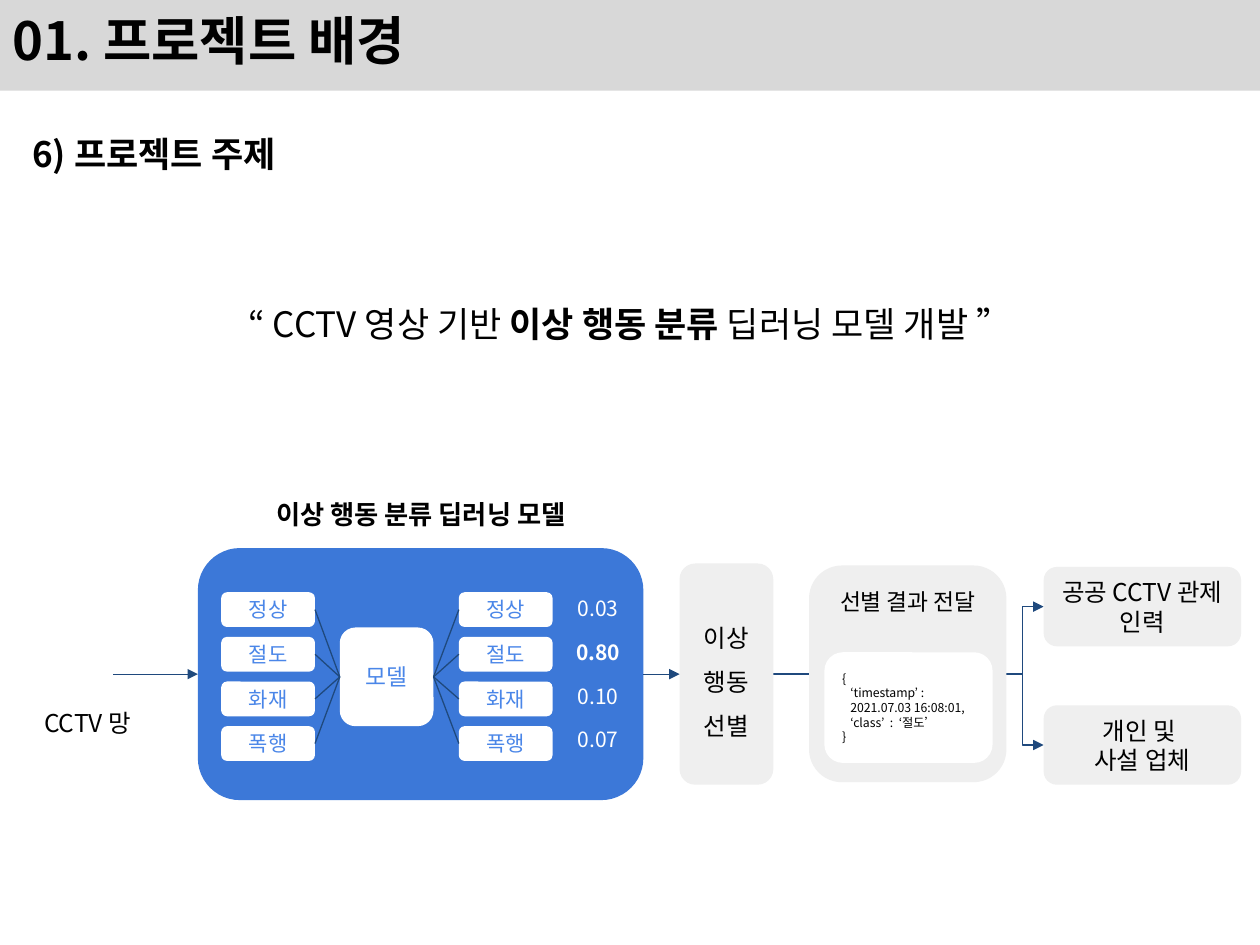
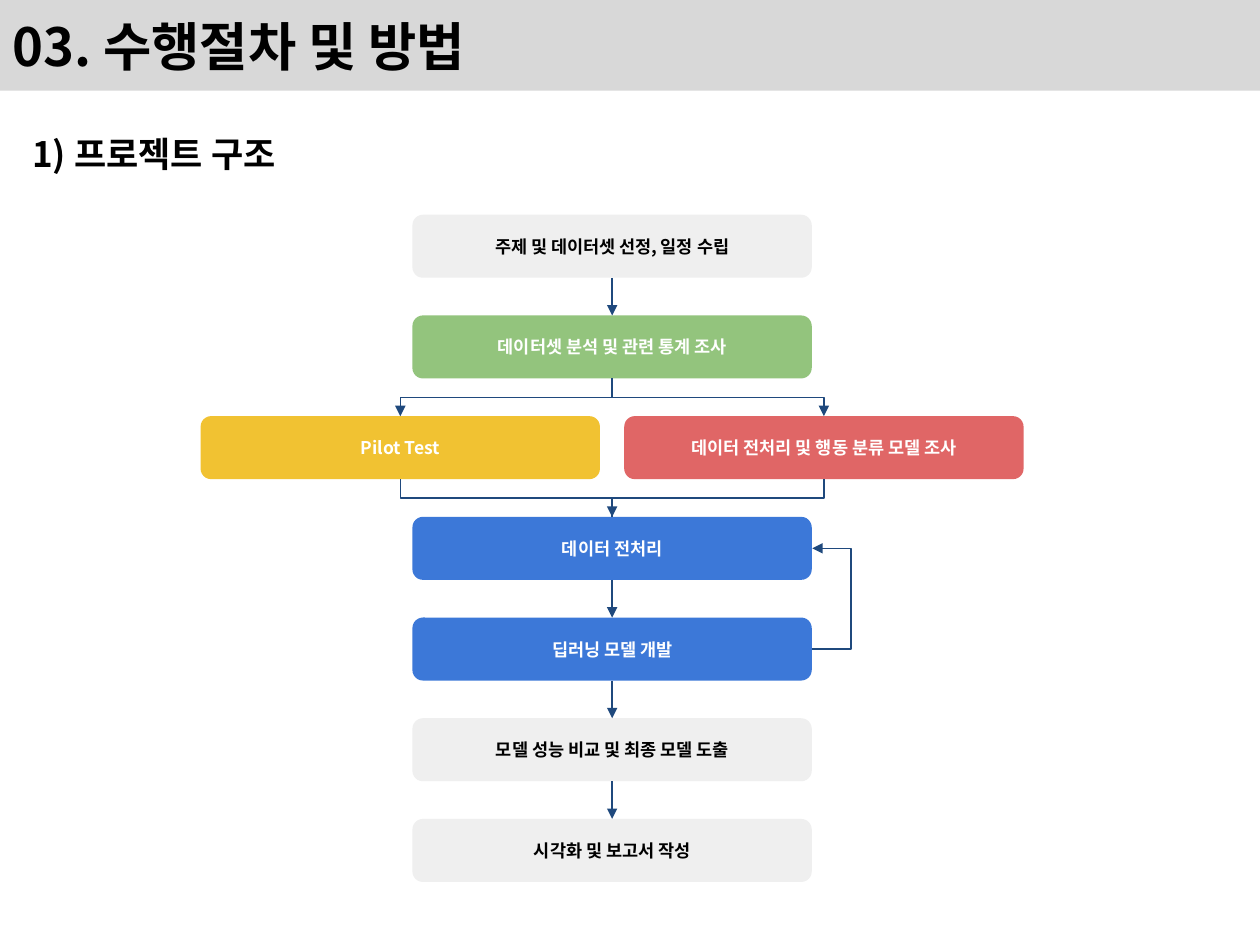
from lxml import etree
from pptx import Presentation
from pptx import util as u
from pptx.dml.color import RGBColor
from pptx.enum import shapes, text
from pptx.oxml import ns

FONT = "Noto Sans CJK KR"
COLORS = {
    "black": "000000", "white": "FFFFFF", "band": "D8D8D8", "gray": "EFEFEF",
    "blue": "3C78D8", "label": "4A86E8", "green": "93C47D", "yellow": "F1C232",
    "red": "E06666", "line": "1F497D",
}
CENTER = text.PP_ALIGN.CENTER
MIDDLE = text.MSO_ANCHOR.MIDDLE

TITLES = {"background": ("01. 프로젝트 배경", 0.8), "method": ("03. 수행절차 및 방법", 1.0)}
TOPIC = ["6) 프로젝트 주제"]
QUOTE = [("“ CCTV 영상 기반 ", False), ("이상 행동 분류", True), (" 딥러닝 모델 개발 ”", False)]
STRUCTURE = ["1) 프로젝트 구조"]
CLASSES = [("정상", "0.03"), ("절도", "0.80"), ("화재", "0.10"), ("폭행", "0.07")]
BEST_SCORE = "0.80"
MESSAGE = ["{", "   ‘timestamp’ :", "   2021.07.03 16:08:01,", "   ‘class’  :  ‘절도’", "}"]
RECEIVERS = [(11.43, ["공공 CCTV 관제 인력"]), (14.22, ["개인 및 ", "사설 업체"])]
STAGES = {
    "plan": (0, 0, "주제 및 데이터셋 선정, 일정 수립", "gray", "black"),
    "analysis": (1, 0, "데이터셋 분석 및 관련 통계 조사", "green", "white"),
    "pilot": (2, -1, "Pilot Test", "yellow", "white"),
    "survey": (2, 1, "데이터 전처리 및 행동 분류 모델 조사", "red", "white"),
    "preprocess": (3, 0, "데이터 전처리", "blue", "white"),
    "develop": (4, 0, "딥러닝 모델 개발", "blue", "white"),
    "compare": (5, 0, "모델 성능 비교 및 최종 모델 도출", "gray", "black"),
    "report": (6, 0, "시각화 및 보고서 작성", "gray", "black"),
}
STRAIGHT_STEPS = [("plan", "analysis"), ("preprocess", "develop"),
                  ("develop", "compare"), ("compare", "report")]
BENT_STEPS = [("analysis", "pilot", True), ("analysis", "survey", True),
              ("pilot", "preprocess", False), ("survey", "preprocess", True)]


def color(name):
    return RGBColor.from_string(COLORS[name])


def apply(target, values):
    for name, value in values.items():
        setattr(target, name, value)


def write(shape, paragraphs, size, ink="black", bold=False, anchor=text.MSO_ANCHOR.TOP,
          inset=0.25, **layout):
    frame = shape.text_frame
    apply(frame, {
        "word_wrap": True, "vertical_anchor": anchor,
        "margin_left": u.Cm(0.25), "margin_right": u.Cm(0.25),
        "margin_top": u.Cm(inset), "margin_bottom": u.Cm(inset),
    })
    for index, content in enumerate(paragraphs):
        paragraph = frame.add_paragraph() if index else frame.paragraphs[0]
        apply(paragraph, layout)
        pieces = [(content, bold)] if isinstance(content, str) else content
        for words, heavy in pieces:
            run = paragraph.add_run()
            run.text = words
            apply(run.font, {"name": FONT, "size": u.Pt(size), "bold": heavy})
            run.font.color.rgb = color(ink)
            etree.SubElement(run.font._element, ns.qn("a:ea"), typeface=FONT)


def add_text(slide, area, paragraphs, size, **style):
    box = slide.shapes.add_textbox(*map(u.Cm, area))
    write(box, paragraphs, size, **style)
    return box


def add_box(slide, area, fill, paragraphs=(), size=12, kind="ROUNDED_RECTANGLE", **style):
    box = slide.shapes.add_shape(shapes.MSO_SHAPE[kind], *map(u.Cm, area))
    box.shadow.inherit = False
    box.fill.solid()
    box.fill.fore_color.rgb = color(fill)
    box.line.fill.background()
    write(box, paragraphs, size, **{"anchor": MIDDLE, "alignment": CENTER, **style})
    return box


def add_line(slide, start, end, arrow=True, kind="STRAIGHT", bend=None, turned=False):
    connector = slide.shapes.add_connector(
        shapes.MSO_CONNECTOR[kind], *(u.Cm(value) for value in (*start, *end)))
    connector.line.color.rgb = color("line")
    connector.line.width = u.Pt(0.75)
    properties = connector.element.spPr
    if arrow:
        etree.SubElement(properties.find(ns.qn("a:ln")), ns.qn("a:tailEnd"), type="triangle")
    if bend is not None:
        guides = properties.find(ns.qn("a:prstGeom")).find(ns.qn("a:avLst"))
        etree.SubElement(guides, ns.qn("a:gd"), name="adj1", fmla=f"val {round(bend * 100000)}")
    if turned:
        properties.find(ns.qn("a:xfrm")).set("rot", "5400000")
    etree.SubElement(properties, ns.qn("a:effectLst"))
    return connector


def join(slide, source, source_side, target, target_side, arrow=True):
    connector = add_line(slide, (0, 0), (1, 1), arrow)
    connector.begin_connect(source, source_side)
    connector.end_connect(target, target_side)


def add_downward_elbow(slide, start, end, arrow):
    across, down = end[0] - start[0], end[1] - start[1]
    x, y = (start[0] + end[0]) / 2, (start[1] + end[1]) / 2
    add_line(slide, (x - down / 2, y + across / 2), (x + down / 2, y - across / 2),
             arrow, "ELBOW", 0.5, turned=True)


def start_slide(presentation, key, heading):
    slide = presentation.slides.add_slide(presentation.slide_layouts[6])
    title, spacing = TITLES[key]
    add_box(slide, (0, 0, 25.4, 1.83), "band", [title], 30, kind="RECTANGLE", bold=True,
            inset=0.13, alignment=text.PP_ALIGN.LEFT, line_spacing=spacing)
    body = add_text(slide, (0.4, 2.29, 24.6, 4.8), heading, 20, bold=True, inset=0.13,
                    line_spacing=1.3)
    return slide, body


def build_background(presentation):
    slide, body = start_slide(presentation, "background", TOPIC + [QUOTE])
    apply(body.text_frame.paragraphs[1], {"alignment": CENTER, "space_before": u.Pt(66)})

    axis, filter_right, turn = 13.59, 15.59, 20.62
    receiver_left, receiver_width, receiver_height = 21.04, 3.98, 1.6
    for top, name in RECEIVERS:
        add_line(slide, (filter_right, axis), (receiver_left, top + receiver_height / 2),
                 kind="ELBOW", bend=(turn - filter_right) / (receiver_left - filter_right))
        add_box(slide, (receiver_left, top, receiver_width, receiver_height), "gray", name, 14)

    add_text(slide, (4.32, 9.8, 8.33, 1.14), ["이상 행동 분류 딥러닝 모델"], 15,
             bold=True, alignment=CENTER)
    add_text(slide, (0.28, 14.02, 2.97, 1.12), ["CCTV 망"], 14, alignment=CENTER)
    panel = add_box(slide, (3.99, 11.05, 8.98, 5.08), "blue")
    add_line(slide, (2.28, axis), (3.99, axis)).end_connect(panel, 1)

    model = add_box(slide, (6.85, 12.65, 1.89, 1.99), "white", ["모델"], 13, ink="label")
    for row, (name, score) in enumerate(CLASSES):
        before, after = (
            add_box(slide, (left, 11.94 + 0.9 * row, 1.89, 0.7), "white", [name], ink="label")
            for left in (4.46, 9.25))
        join(slide, before, 3, model, 1, arrow=False)
        join(slide, model, 3, after, 1, arrow=False)
        add_text(slide, (11.22, 11.76 + 0.88 * row, 1.68, 1.02), [score], 12, ink="white",
                 bold=score == BEST_SCORE, alignment=CENTER)

    selection = add_box(slide, (13.7, 11.36, 1.89, 4.46), "gray", ["이상행동", "선별"], 14,
                        line_spacing=1.5)
    join(slide, panel, 3, selection, 1)
    add_box(slide, (16.31, 11.4, 3.98, 4.37), "gray", ["선별 결과 전달"], 13,
            anchor=text.MSO_ANCHOR.TOP)
    add_box(slide, (16.62, 13.15, 3.39, 2.23), "white", MESSAGE, 7,
            alignment=text.PP_ALIGN.LEFT)


def build_method(presentation):
    slide, _ = start_slide(presentation, "method", STRUCTURE)
    width, height, pitch = 8.05, 1.27, 2.03
    boxes, tops = {}, {}
    for key, (row, side, name, fill, ink) in STAGES.items():
        x, y = 12.34 + 4.27 * side, 4.33 + pitch * row
        tops[key] = (x, y)
        boxes[key] = add_box(slide, (x - width / 2, y, width, height), fill, [name], 10,
                             ink=ink, bold=True)
    for source, target in STRAIGHT_STEPS:
        join(slide, boxes[source], 2, boxes[target], 0)
    for source, target, arrow in BENT_STEPS:
        x, y = tops[source]
        add_downward_elbow(slide, (x, y + height), tops[target], arrow)

    x, y = tops["develop"]
    right, middle, offset, reach = x + width / 2, y + height / 2, 0.01, 0.79
    add_line(slide, (right, middle), (right + offset, middle - pitch),
             kind="ELBOW", bend=reach / offset)


def main():
    presentation = Presentation()
    presentation.slide_width, presentation.slide_height = u.Cm(25.4), u.Cm(19.05)
    build_background(presentation)
    build_method(presentation)
    presentation.save("out.pptx")


if __name__ == "__main__":
    main()
